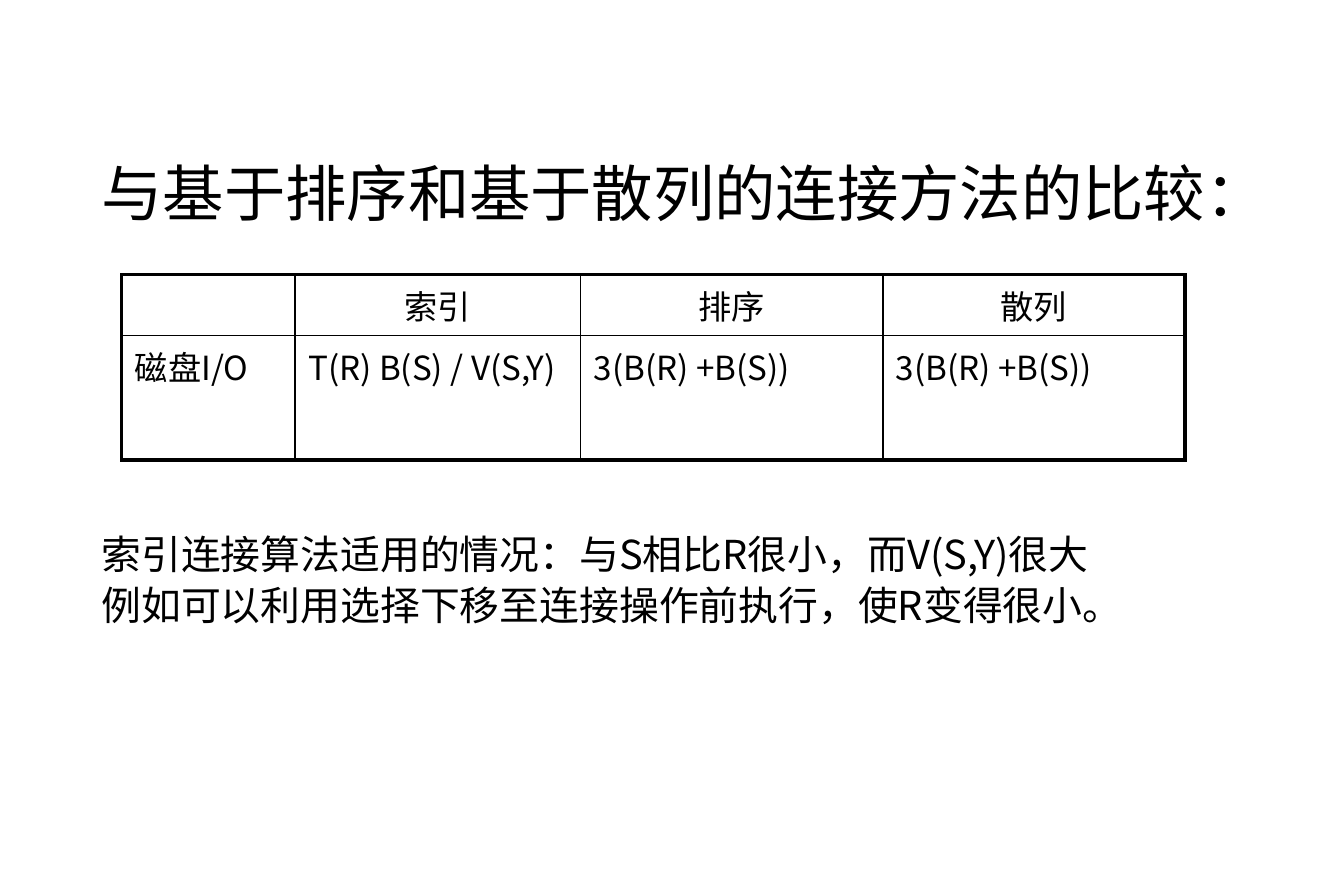
from dataclasses import dataclass

from lxml.etree import SubElement
from pptx import Presentation
from pptx.dml.color import RGBColor
from pptx.enum.text import MSO_ANCHOR as Anchor, PP_ALIGN as Align
from pptx.oxml.ns import qn
from pptx.table import _Cell as Cell
from pptx.text.text import _Paragraph as Paragraph
from pptx.util import Inches, Pt


@dataclass(frozen=True)
class Theme:
    font: str = "Noto Sans CJK SC"
    ink: str = "000000"
    title_size: int = 37
    body_size: int = 24
    table_size: int = 20
    outer_line: float = 2.25
    inner_line: float = 1
    line_spacing: float = 0.9


@dataclass(frozen=True)
class BodyLine:
    text: str
    size: int
    space_before: float = 0


THEME = Theme()
BODY_LINES = [
    BodyLine("与基于排序和基于散列的连接方法的比较：", THEME.title_size),
    BodyLine("索引连接算法适用的情况：与S相比R很小，而V(S,Y)很大", THEME.body_size, 184),
    BodyLine("例如可以利用选择下移至连接操作前执行，使R变得很小。", THEME.body_size, 4.8),
]
COST_ROWS = [
    ["", "索引", "排序", "散列"],
    ["磁盘I/O", "T(R) B(S) / V(S,Y)", "3(B(R) +B(S))", "3(B(R) +B(S))"],
]
COLUMN_WIDTHS = [1.45, 2.39, 2.53, 2.53]
ROW_HEIGHTS = [0.51, 1.04]


def style_runs(paragraph: Paragraph, size: int) -> None:
    for run in paragraph.runs:
        run.font.size = Pt(size)
        run.font.name = THEME.font
        run.font.color.rgb = RGBColor.from_string(THEME.ink)
        east_asian = SubElement(run.font._element, qn("a:ea"))
        east_asian.set("typeface", THEME.font)


def draw_borders(cell: Cell, outer_sides: dict[str, bool]) -> None:
    properties = cell._tc.get_or_add_tcPr()
    for side, is_outer in outer_sides.items():
        width = THEME.outer_line if is_outer else THEME.inner_line
        line = SubElement(properties, qn(f"a:ln{side}"), w=str(int(Pt(width))))
        fill = SubElement(line, qn("a:solidFill"))
        SubElement(fill, qn("a:srgbClr"), val=THEME.ink)


presentation = Presentation()
presentation.slide_width = Inches(11.25)
presentation.slide_height = Inches(7.5)
slide = presentation.slides.add_slide(presentation.slide_layouts[6])

# Heading and conclusions, with room for the table between them
body = slide.shapes.add_textbox(Inches(0.73), Inches(1.31), Inches(9.94), Inches(5.61))
text_frame = body.text_frame
text_frame.word_wrap = True
text_frame.vertical_anchor = Anchor.TOP
text_frame.margin_left = text_frame.margin_right = Inches(0.12)
text_frame.margin_top = text_frame.margin_bottom = Inches(0.06)
text_frame.text = "\n".join(line.text for line in BODY_LINES)
for paragraph, line in zip(text_frame.paragraphs, BODY_LINES):
    paragraph.line_spacing = THEME.line_spacing
    paragraph.space_before = Pt(line.space_before)
    style_runs(paragraph, line.size)

# Table of disk I/O costs
table = slide.shapes.add_table(
    len(ROW_HEIGHTS), len(COLUMN_WIDTHS), Inches(1.02), Inches(2.3),
    Inches(sum(COLUMN_WIDTHS)), Inches(sum(ROW_HEIGHTS)),
).table
table.first_row = table.horz_banding = False
for column, width in zip(table.columns, COLUMN_WIDTHS):
    column.width = Inches(width)
for row, height in zip(table.rows, ROW_HEIGHTS):
    row.height = Inches(height)

for row_index, texts in enumerate(COST_ROWS):
    for column_index, text in enumerate(texts):
        cell = table.cell(row_index, column_index)
        cell.margin_left = cell.margin_right = Inches(0.11)
        cell.margin_top = cell.margin_bottom = Inches(0.05)
        cell.text_frame.text = text
        paragraph = cell.text_frame.paragraphs[0]
        paragraph.alignment = Align.CENTER if row_index == 0 else Align.LEFT
        style_runs(paragraph, THEME.table_size)
        draw_borders(cell, {
            "L": column_index == 0,
            "R": column_index == len(COLUMN_WIDTHS) - 1,
            "T": row_index == 0,
            "B": row_index == len(ROW_HEIGHTS) - 1,
        })
        cell.fill.background()

presentation.save("out.pptx")
